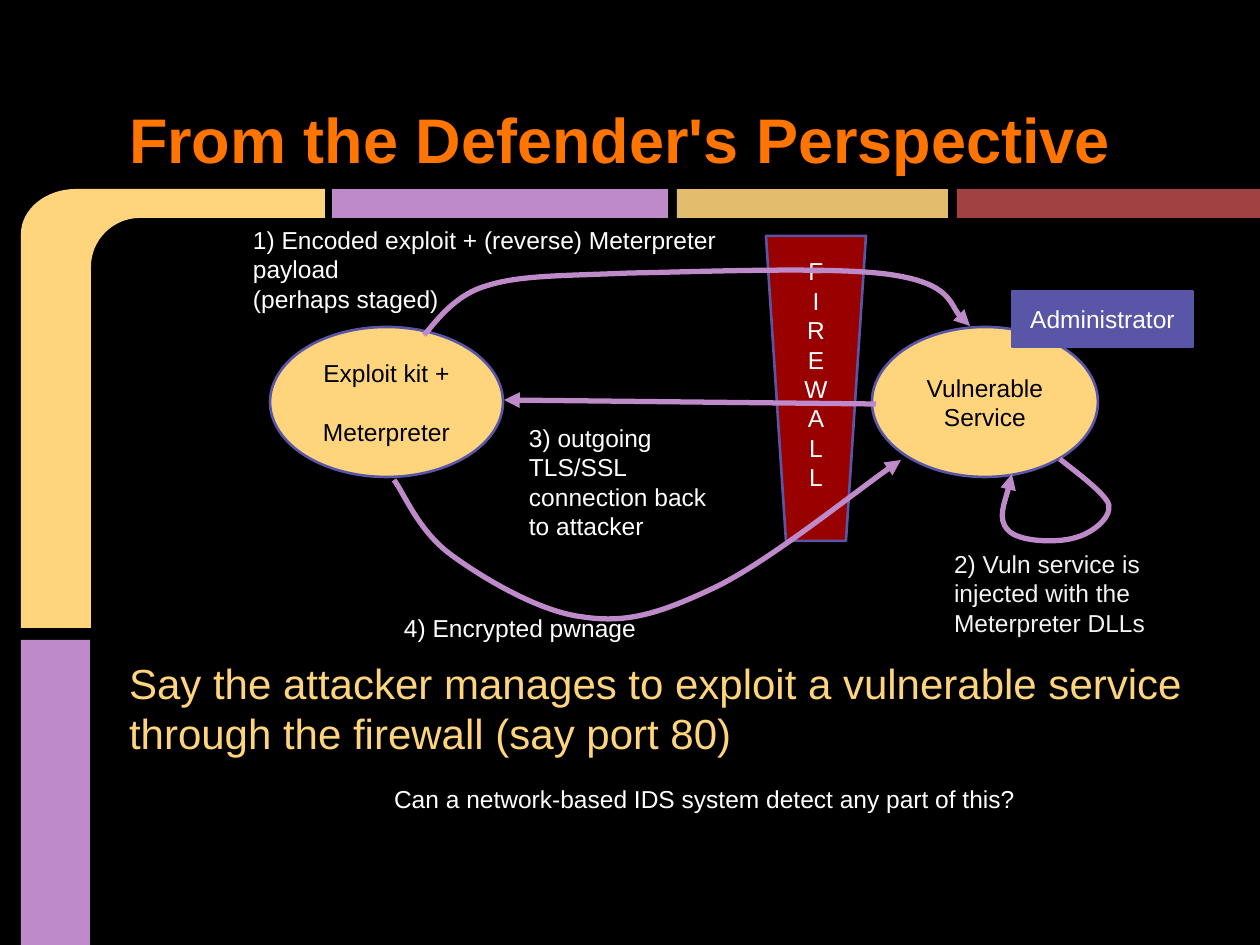
import pptx
import pptx.util
import pptx.dml.color
import pptx.enum.shapes
import pptx.enum.text
import pptx.oxml
import pptx.oxml.ns

SCALE = 914400 / 126  # EMU per px
SHAPES = pptx.enum.shapes.MSO_SHAPE
ANCHORS = pptx.enum.text.MSO_ANCHOR
CENTER = pptx.enum.text.PP_ALIGN.CENTER
YELLOW, PURPLE, INDIGO, WHITE = "FED47D", "BF8AC9", "5956A7", "FFFFFF"
INSET = 12

# Frame: a start point, then segments of one point (line) or three (curve)
FRAME = [(21, 628), [(21, 234)], [(21, 209), (46, 189), (76, 189)],
         [(325, 189)], [(325, 218)], [(140, 218)],
         [(113, 218), (91, 240), (91, 267)], [(91, 628)]]
BARS = [  # left, top, width, height, fill
    (21, 640, 69, 305, PURPLE),
    (332, 189, 336, 29, PURPLE),
    (677, 189, 271, 29, "E3BC6D"),
    (957, 189, 303, 29, "A14141"),
]
# Preset, box, fill, text colour, paragraphs, space between, bottom inset
NODES = [
    (SHAPES.OVAL, (270, 327, 233, 150), YELLOW, "000000",
     ["Exploit kit +", "Meterpreter"], 17, INSET),
    (SHAPES.OVAL, (872, 327, 226, 150), YELLOW, "000000",
     ["Vulnerable Service"], 0, INSET),
    (SHAPES.RECTANGLE, (1012, 291, 181, 56), INDIGO, WHITE,
     ["Administrator"], 0, INSET),
    (SHAPES.FLOWCHART_MANUAL_OPERATION, (766, 236, 100, 305), "990000", WHITE,
     ["\n".join("FIREWALL")], 0, INSET + 29),
]
TEXTS = [  # box, text, format
    ((117, 645, 1079, 260),
     "Say the attacker manages to exploit a vulnerable service through the "
     "firewall (say port 80)", {"size": 24, "color": YELLOW}),
    ((117, 30, 1079, 158), "From the Defender's Perspective",
     {"size": 36, "color": "FF7500", "bold": True, "anchor": ANCHORS.BOTTOM}),
    ((241, 213, 494, 39),
     "1) Encoded exploit + (reverse) Meterpreter payload\n(perhaps staged)", {}),
    ((942, 537, 282, 105),
     "2) Vuln service is injected with the Meterpreter DLLs", {"color": "F3F3F3"}),
    ((517, 411, 228, 55), "3) outgoing TLS/SSL connection back to attacker", {}),
    ((392, 601, 440, 45), "4) Encrypted pwnage", {}),
    ((382, 772, 736, 84),
     "Can a network-based IDS system detect any part of this?", {}),
]
CURVES = [
    [(424, 335), [(433, 326), (452, 296), (486, 286)],
     [(520, 275), (562, 276), (630, 273)],
     [(697, 272), (837, 266), (893, 275)],
     [(950, 284), (955, 318), (970, 326)]],
    [(1060, 459), [(1068, 466), (1106, 493), (1109, 505)],
     [(1111, 519), (1091, 534), (1074, 538)],
     [(1057, 543), (1018, 542), (1008, 530)],
     [(997, 519), (1011, 483), (1012, 474)]],
    [(394, 480), [(404, 493), (418, 530), (450, 554)],
     [(481, 577), (539, 612), (583, 617)],
     [(629, 624), (663, 612), (716, 587)],
     [(769, 561), (869, 481), (901, 460)]],
]
RETURN_ARROW = (876, 404, 504, 400)


def px(value):
    return round(value * SCALE)


def rgb(value):
    return pptx.dml.color.RGBColor.from_string(value)


def paint(shape, fill=None, line=None, width=1.5):
    shape.shadow.inherit = False
    for part, color in ((shape.fill, fill), (shape.line.fill, line)):
        if color:
            part.solid()
            part.fore_color.rgb = rgb(color)
        else:
            part.background()
    if line:
        shape.line.width = pptx.util.Pt(width)


def write(shape, paragraphs, size=14, color=WHITE, bold=False, align=None,
          anchor=ANCHORS.TOP, gap=0, bottom=INSET):
    frame = shape.text_frame
    settings = {"word_wrap": True, "vertical_anchor": anchor,
                "margin_left": px(INSET), "margin_right": px(INSET),
                "margin_top": px(INSET), "margin_bottom": px(bottom)}
    for name, value in settings.items():
        setattr(frame, name, value)
    font = {"name": "Arial", "size": pptx.util.Pt(size), "bold": bold}
    for index, text in enumerate(paragraphs):
        paragraph = frame.add_paragraph() if index else frame.paragraphs[0]
        paragraph.text = text.replace("\n", "\v")
        paragraph.alignment = align
        if index:
            paragraph.space_before = pptx.util.Pt(gap)
        for run in paragraph.runs:
            for name, value in font.items():
                setattr(run.font, name, value)
            run.font.color.rgb = rgb(color)


def add_outline(shapes, start, segments, close=False):
    """Build a freeform; each three-point segment becomes a Bezier curve."""
    builder = shapes.build_freeform(*start, scale=SCALE)
    builder.add_line_segments([p for s in segments for p in s], close=close)
    shape = builder.convert_to_shape()
    lines = iter(list(shape._element.iter(pptx.oxml.ns.qn("a:lnTo"))))
    for segment in segments:
        steps = [next(lines) for _ in segment]
        if len(steps) == 3:
            curve = pptx.oxml.parse_xml(
                f'<a:cubicBezTo {pptx.oxml.ns.nsdecls("a")}/>')
            steps[0].addprevious(curve)
            for step in steps:
                curve.append(step[0])
                step.getparent().remove(step)
    return shape


def add_arrowhead(shape):
    shape.line._get_or_add_ln().append(pptx.oxml.parse_xml(
        f'<a:tailEnd {pptx.oxml.ns.nsdecls("a")} type="triangle"/>'))


def main():
    presentation = pptx.Presentation()
    presentation.slide_width = px(1260)
    presentation.slide_height = px(945)
    slide = presentation.slides.add_slide(presentation.slide_layouts[6])
    slide.background.fill.solid()
    slide.background.fill.fore_color.rgb = rgb("000000")
    shapes = slide.shapes

    # Decorative frame and bars
    paint(add_outline(shapes, FRAME[0], FRAME[1:], close=True), YELLOW)
    for *box, fill in BARS:
        paint(shapes.add_shape(SHAPES.RECTANGLE, *map(px, box)), fill)

    # Hosts, role tag and firewall
    for preset, box, fill, color, paragraphs, gap, bottom in NODES:
        node = shapes.add_shape(preset, *map(px, box))
        paint(node, fill, INDIGO)
        write(node, paragraphs, color=color, align=CENTER,
              anchor=ANCHORS.MIDDLE, gap=gap, bottom=bottom)

    # Attack steps
    for start, *segments in CURVES:
        curve = add_outline(shapes, start, segments)
        paint(curve, line=PURPLE, width=3)
        add_arrowhead(curve)
    arrow = shapes.add_connector(pptx.enum.shapes.MSO_CONNECTOR.STRAIGHT,
                                 *map(px, RETURN_ARROW))
    arrow.line.color.rgb = rgb(PURPLE)
    arrow.line.width = pptx.util.Pt(3)
    add_arrowhead(arrow)
    arrow._element.spPr.append(pptx.oxml.parse_xml(
        f'<a:effectLst {pptx.oxml.ns.nsdecls("a")}/>'))

    # Title, body and labels
    for box, text, style in TEXTS:
        write(shapes.add_textbox(*map(px, box)), [text], **style)

    presentation.save("out.pptx")


if __name__ == "__main__":
    main()
